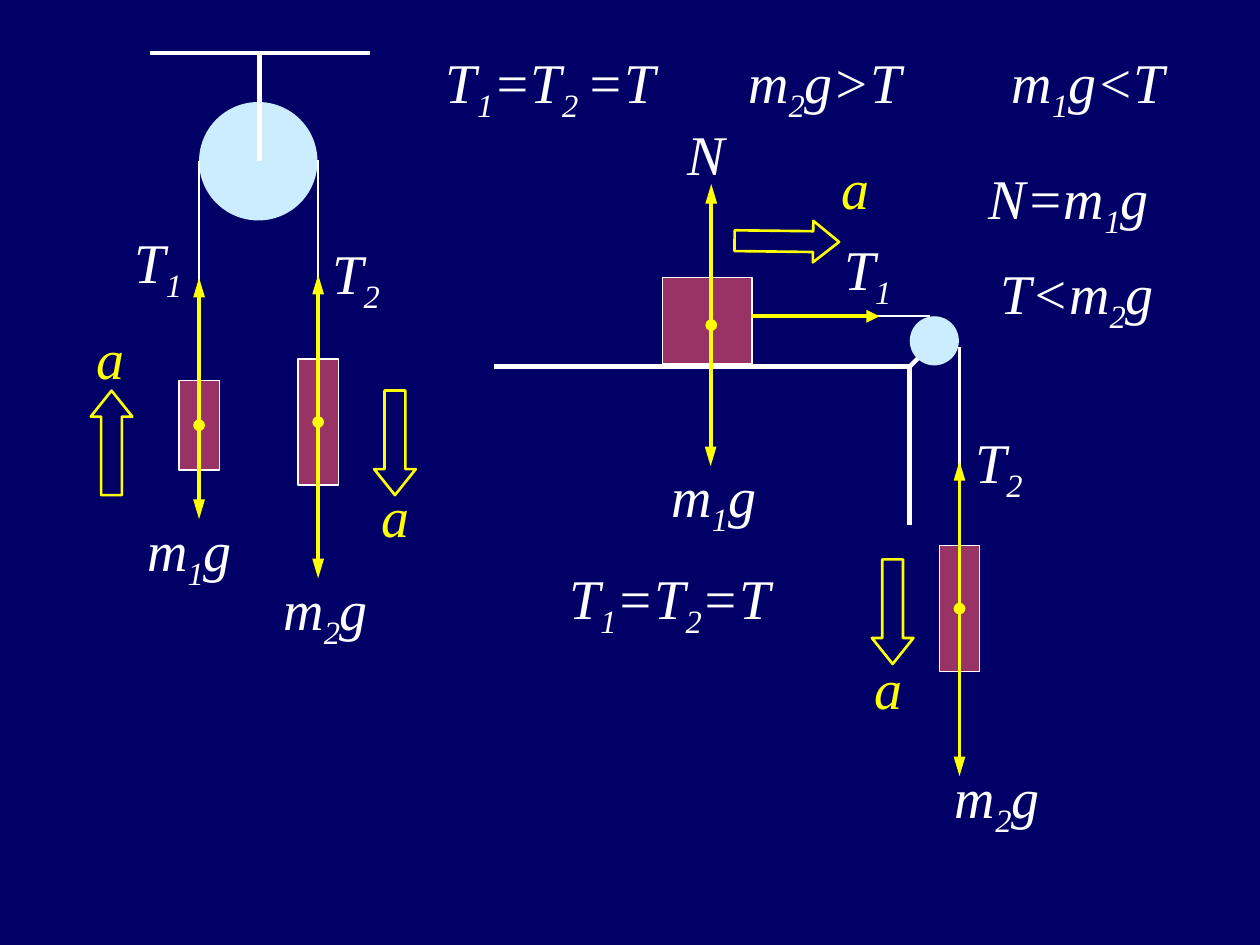
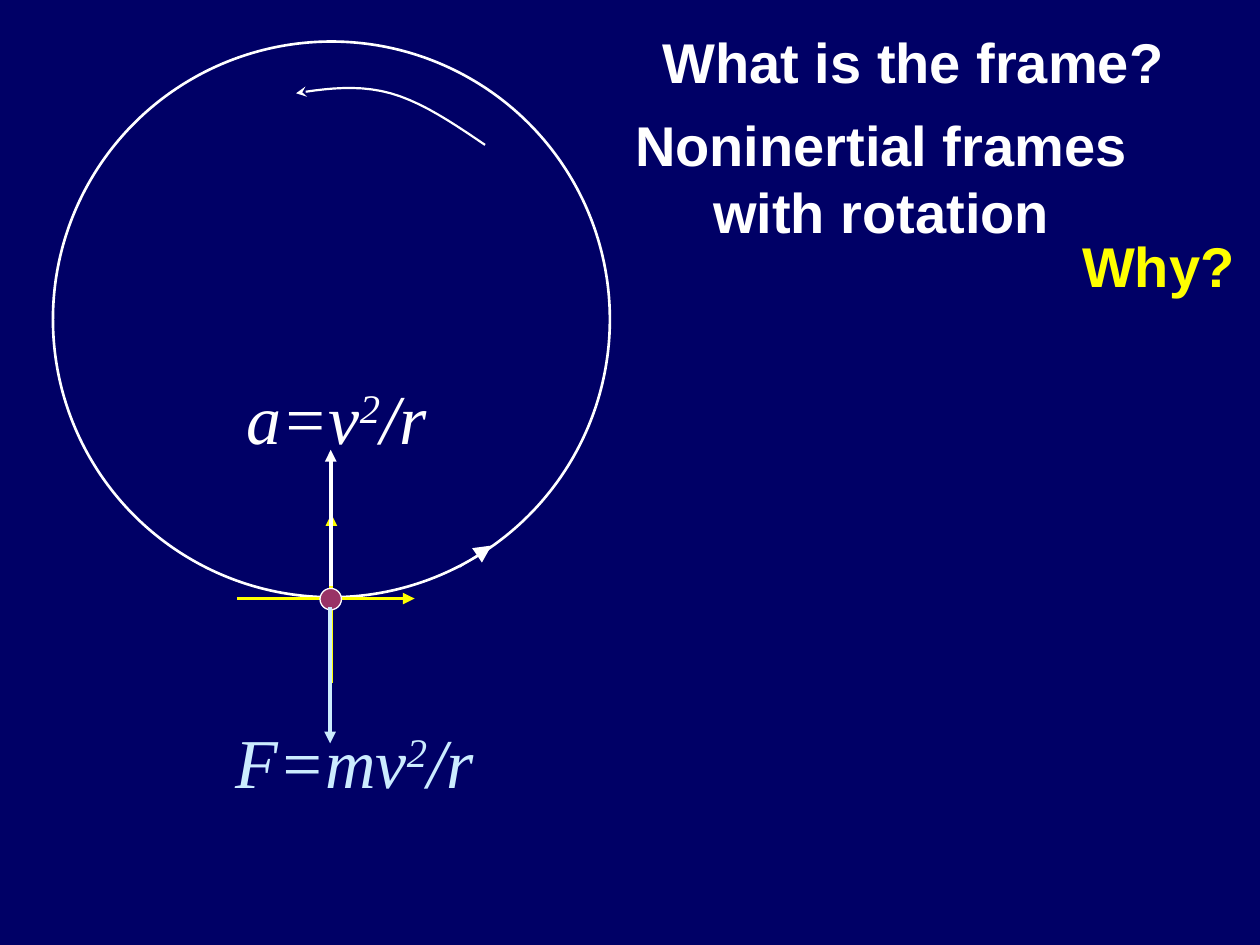
from dataclasses import dataclass
from typing import Any

from lxml.etree import SubElement
from pptx import Presentation
from pptx.dml.color import RGBColor
from pptx.enum.shapes import MSO_CONNECTOR, MSO_SHAPE
from pptx.enum.text import MSO_AUTO_SIZE, PP_ALIGN
from pptx.oxml.ns import qn
from pptx.util import Inches, Pt

NAVY = RGBColor(0x00, 0x00, 0x66)
WHITE = RGBColor(0xFF, 0xFF, 0xFF)
YELLOW = RGBColor(0xFF, 0xFF, 0x00)
PLUM = RGBColor(0x99, 0x33, 0x66)
ICE = RGBColor(0xCC, 0xEC, 0xFF)

SERIF, SANS = "Times New Roman", "Arial"
WIDE, HIGH = Inches(10), Inches(7.5)
COLS = 100  # the grid has 100 columns and 75 rows of square cells
CELL = WIDE // COLS
THICK, FORCE, THIN, HAIR = 2.5, 2.25, 1.25, 0.75
TOP = 0  # connection site
PLAIN, LONG, LARGE = ("med", "med"), ("med", "lg"), ("lg", "lg")


def grid(size):
    return round(size * CELL)


def add_ends(shape, head, tail, tip=PLAIN):
    line = shape._element.spPr.get_or_add_ln()
    for tag, kind, size in (("a:headEnd", head, PLAIN),
                            ("a:tailEnd", tail, tip)):
        if kind:
            end = SubElement(line, qn(tag))
            for key, value in zip(("type", "w", "len"), (kind, *size)):
                end.set(key, value)


@dataclass
class Box:
    """A region of a slide; its parts are placed from its top left cell."""
    slide: Any
    left: float
    top: float

    def spot(self, x, y):
        return grid(self.left + x), grid(self.top + y)

    def line(self, start, end, color=WHITE, width=THICK, head=None,
             tail=None, tip=PLAIN):
        link = self.slide.shapes.add_connector(
            MSO_CONNECTOR.STRAIGHT, *self.spot(*start), *self.spot(*end))
        link.line.color.rgb = color
        link.line.width = Pt(width)
        add_ends(link, head, tail, tip)
        SubElement(link._element.spPr, qn("a:effectLst"))
        return link

    def force(self, start, end, color=YELLOW, head=None, width=FORCE,
              tip=PLAIN):
        return self.line(start, end, color, width, head, "triangle", tip)

    def shape(self, kind, x, y, wide, high, fill=None, edge=None, width=HAIR):
        part = self.slide.shapes.add_shape(
            kind, *self.spot(x, y), grid(wide), grid(high))
        paint(part, fill, edge, width)
        return part

    def text(self, x, y, wide, high, words, color=WHITE, size=32,
             font=SERIF, base=-25, align=PP_ALIGN.LEFT):
        """Parts of the words between bars are raised or lowered by base."""
        area = self.slide.shapes.add_textbox(
            *self.spot(x, y), grid(wide), grid(high))
        frame = area.text_frame
        frame.word_wrap = True
        frame.auto_size = MSO_AUTO_SIZE.SHAPE_TO_FIT_TEXT
        para = frame.paragraphs[0]
        para.alignment = align
        for turn, part in enumerate(words.split("|")):
            if not part:
                continue
            run = para.add_run()
            run.text = part
            run.font.name, run.font.size = font, Pt(size)
            run.font.color.rgb = color
            run.font.italic = font == SERIF
            run.font.bold = font == SANS
            if turn % 2:
                run.font._element.set("baseline", str(base * 1000))

    def tension(self, x, y, mark):
        self.text(x, y, 6.5, 7.1, f"T|{mark}|")

    def pull(self, x, y, mark):
        self.text(x, y, 9.5, 7.1, f"m|{mark}|g")


def paint(part, fill, edge, width):
    part.shadow.inherit = False
    if fill is None:
        part.fill.background()
    else:
        part.fill.solid()
        part.fill.fore_color.rgb = fill
    if edge is None:
        part.line.fill.background()
    else:
        part.line.color.rgb = edge
        part.line.width = Pt(width)


def add_weight(box, mid, top, high, rope, drop, mark, up, down):
    """A block on a string, pulled up by T and down by its weight."""
    block = box.shape(MSO_SHAPE.RECTANGLE, mid - 1.6, top, 3.2, high,
                      PLUM, WHITE)
    string = box.line((mid, top), (mid, rope), width=THIN)
    string.begin_connect(block, TOP)
    heart = top + high / 2
    box.force((mid, heart), (mid, heart - 11.7), head="oval", tip=LONG)
    box.force((mid, heart), (mid, drop), tip=LONG)
    box.tension(*up, mark)
    box.pull(*down, mark)


def add_motion(box, x, y, label, turn=0):
    """A hollow arrow for the acceleration a."""
    arrow = box.shape(MSO_SHAPE.DOWN_ARROW, x, y, 3.3, 8.3, None, YELLOW, 1.5)
    arrow.adjustments[0], arrow.adjustments[1] = 0.5, 0.625
    arrow.rotation = turn
    box.text(*label, 5, 6.4, "a", YELLOW)


def draw_pulley(box):
    # Ceiling, wheel and hanger
    box.line((4.9, 0), (22.4, 0))
    box.shape(MSO_SHAPE.OVAL, 8.8, 3.9, 9.4, 9.4, ICE)
    box.line((13.6, 0), (13.6, 8.6))
    # Two weights
    add_weight(box, 8.8, 26, 7.1, 8.6, 37, 1, (2.7, 13.4), (3.7, 36.2))
    add_weight(box, 18.25, 24.3, 10, 8.5, 41.7, 2, (18.4, 14.2), (14.5, 40.9))
    # Accelerations
    add_motion(box, 22.7, 26.8, (22.3, 33.5))
    add_motion(box, 0.2, 26.8, (-0.3, 21), 180)


def draw_table(box):
    # Table, bracket, cord and wheel
    box.line((0, 20.1), (33.2, 20.1))
    box.line((35.4, 17.7), (33, 20.1))
    box.line((20.4, 16.1), (34.6, 16.1), width=THIN)
    box.shape(MSO_SHAPE.OVAL, 33, 16.1, 3.9, 3.9, ICE)
    box.line((33, 20.1), (33, 32.7))
    # Sliding block and its forces
    box.shape(MSO_SHAPE.RECTANGLE, 13.4, 13, 7.1, 6.9, PLUM, WHITE)
    box.force((17.2, 17.1), (17.2, 28), tip=LONG)
    box.pull(13.1, 27.1, 1)
    box.force((17.25, 16.8), (17.25, 5.6), head="oval", tip=LONG)
    box.text(14.4, 0, 5.7, 6.4, "N")
    box.force((20.4, 16.1), (30.6, 16.1), width=THICK)
    box.tension(26.8, 9.1, 1)
    # Hanging weight
    add_weight(box, 36.95, 34.3, 10, 18.5, 52.6, 2, (37.2, 24.4), (35.6, 51))
    # Accelerations
    add_motion(box, 30, 35.4, (29.2, 42.4))
    add_motion(box, 21.6, 6, (26.6, 2.7), 270.7)


def draw_laws(box):
    for x, y, wide, words in (
            (0, 0, 20, "T|1|=T|2 |=T"),
            (24, 0, 15, "m|2|g>T"),
            (44.9, 0, 15, "m|1|g<T"),
            (43.1, 9.2, 20, "N=m|1|g"),
            (44, 16.7, 15, "T<m|2|g"),
            (9.8, 40.9, 20, "T|1|=T|2|=T")):
        box.text(x, y, wide, 7.1, words)


def curve(start, one, two, end, steps=10):
    """Points of a cubic curve after its start."""
    for step in range(1, steps + 1):
        t = step / steps
        s = 1 - t
        yield tuple(s**3 * a + 3 * s * s * t * b + 3 * s * t * t * c + t**3 * d
                    for a, b, c, d in zip(start, one, two, end))


def draw_orbit(box):
    # Path and its direction
    box.shape(MSO_SHAPE.OVAL, 0, 0, 44.2, 44.1, None, WHITE, 1.5)
    box.force((32.3, 41.7), (34.8, 40), WHITE, width=HAIR, tip=LARGE)
    # Axes of the moving frame and the body
    box.force((14.6, 44.2), (28.7, 44.2))
    box.force((22.1, 50.9), (22.1, 37.5))
    box.shape(MSO_SHAPE.OVAL, 21.2, 43.4, 1.7, 1.7, PLUM, WHITE)
    # Acceleration and force
    box.force((22.05, 43.2), (22.05, 32.4), WHITE)
    box.text(14.4, 25.9, 17.1, 7.7, "a=v|2|/r", size=40, base=30)
    box.force((22, 44.9), (22, 55.7), ICE)
    box.text(13.5, 53.2, 21.7, 7.7, "F=mv|2|/r", ICE, 40, base=30)
    # Sense of rotation
    start, crest, end = (34.3, 8.2), (26.8, 4.1), (19.3, 4.1)
    points = [*curve(start, (31.8, 6.5), (29.3, 4.8), crest),
              *curve(crest, (24.3, 3.4), (21.8, 3.7), end)]
    pen = box.slide.shapes.build_freeform(*box.spot(*start))
    pen.add_line_segments([box.spot(*point) for point in points], close=False)
    sweep = pen.convert_to_shape()
    paint(sweep, None, WHITE, THIN)
    add_ends(sweep, None, "stealth")


def draw_heads(box):
    box.text(3.3, 0, 42.8, 6.4, "What is the frame?", font=SANS)
    box.text(0, 6.6, 43.3, 11.7, "Noninertial frames with rotation",
             font=SANS, align=PP_ALIGN.CENTER)
    box.text(36.6, 16.2, 15, 6.4, "Why?", YELLOW, font=SANS)


def main():
    deck = Presentation()
    deck.slide_width, deck.slide_height = WIDE, HIGH
    back = deck.slide_master.background.fill
    back.solid()
    back.fore_color.rgb = NAVY
    blank = deck.slide_layouts[6]

    masses = deck.slides.add_slide(blank)
    draw_pulley(Box(masses, 7, 4.2))
    draw_table(Box(masses, 39.2, 9))
    draw_laws(Box(masses, 34.4, 3.3))

    spin = deck.slides.add_slide(blank)
    draw_orbit(Box(spin, 4.2, 3.3))
    draw_heads(Box(spin, 48.3, 1.7))

    deck.save("out.pptx")


if __name__ == "__main__":
    main()
